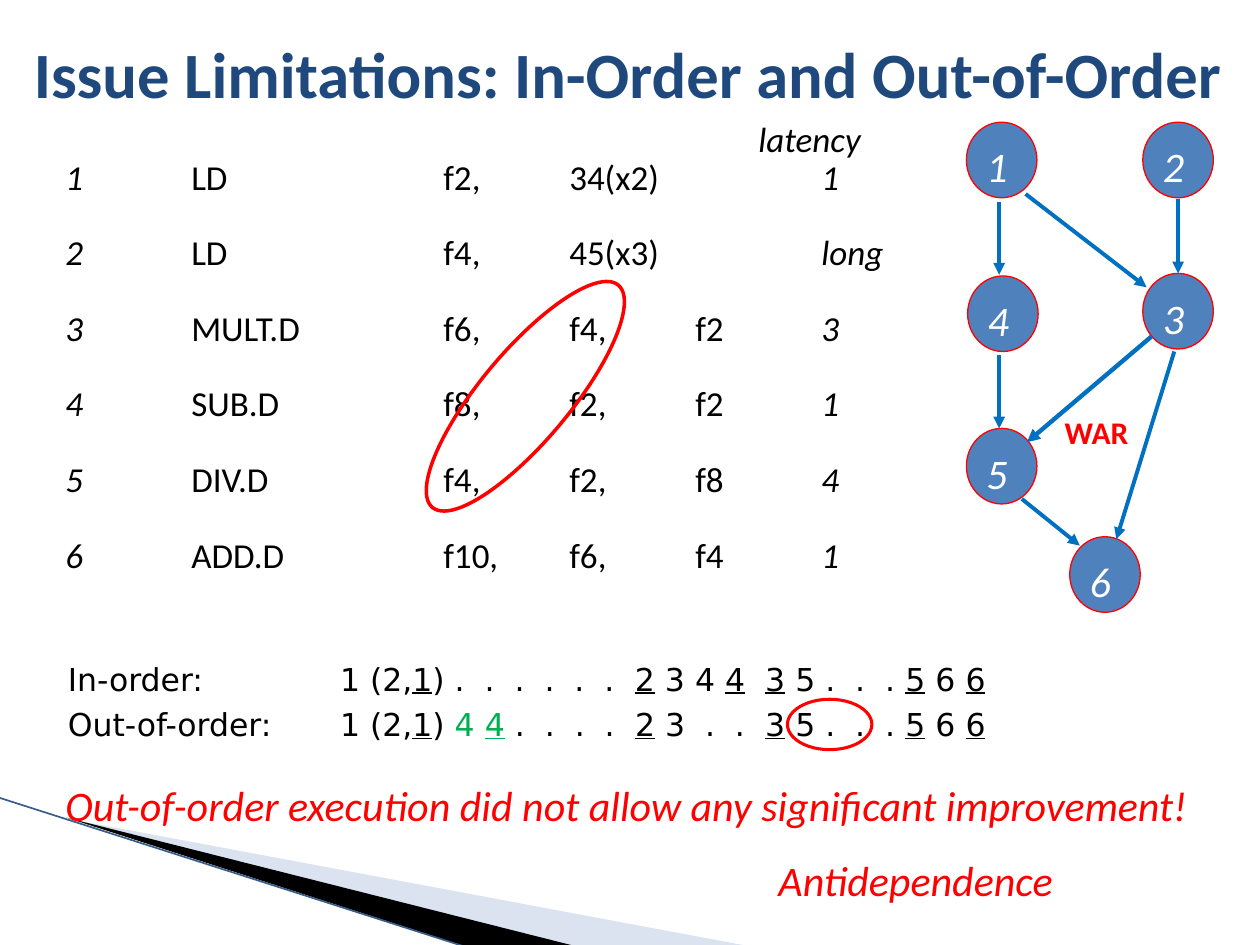
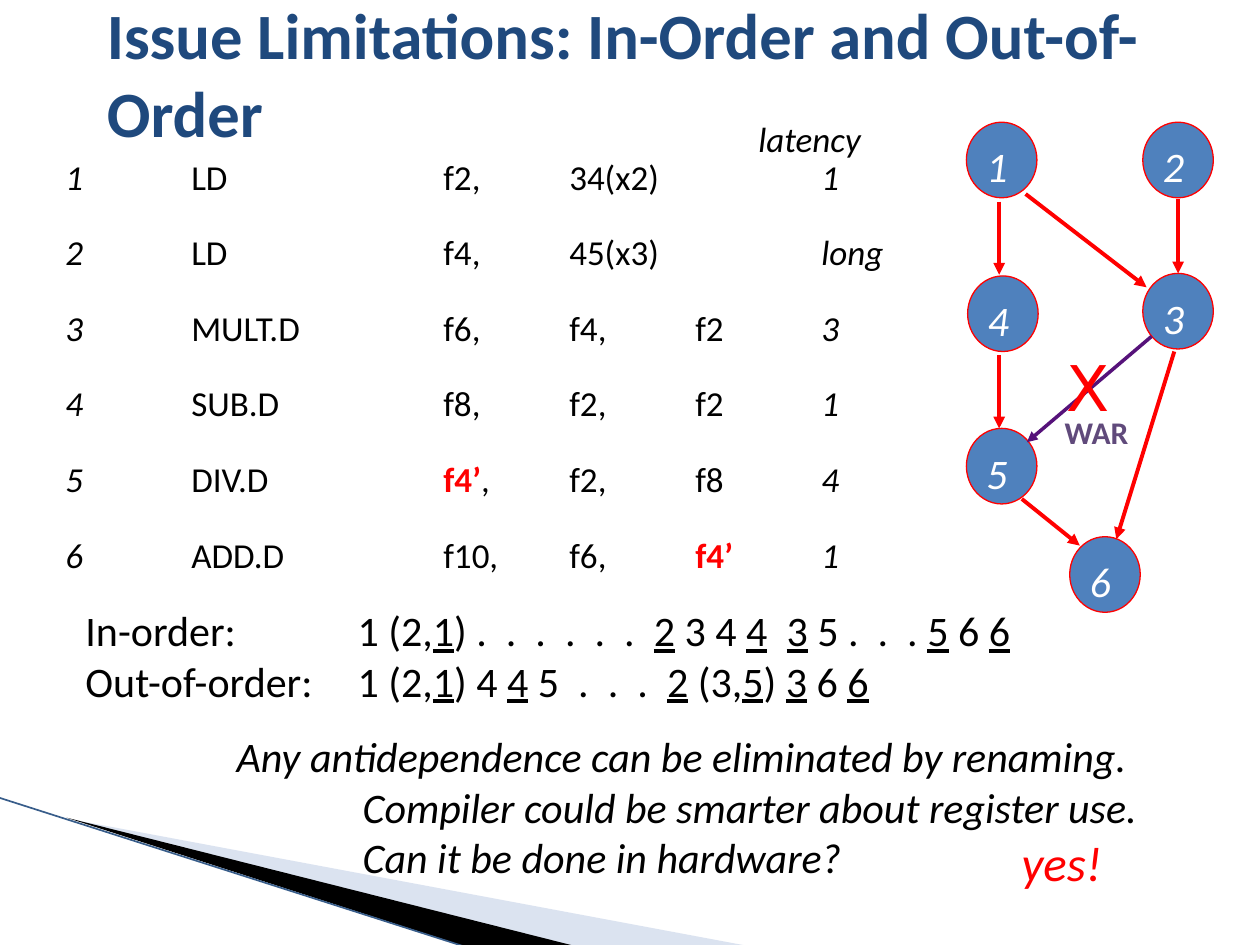
from lxml import etree
from pptx import Presentation
from pptx.dml.color import RGBColor
from pptx.enum.shapes import MSO_CONNECTOR, MSO_SHAPE
from pptx.enum.text import MSO_ANCHOR
from pptx.oxml.ns import qn
from pptx.util import Inches, Pt

STRAIGHT = MSO_CONNECTOR.STRAIGHT
OVAL = MSO_SHAPE.OVAL
MIDDLE, TOP = MSO_ANCHOR.MIDDLE, MSO_ANCHOR.TOP

BODY, WIDE = "Calibri", "DejaVu Sans"
BLACK, WHITE, RED, GREEN = "000000", "FFFFFF", "FF0000", "00B050"
NAVY, BLUE, NODE_FILL = "1F497D", "0070C0", "4F81BD"
PURPLE, VIOLET = "56127A", "604A7B"
BAND, BAND_EDGE = "A7B9DB", "385D8A"

TITLE = "Issue Limitations: In-Order and Out-of-Order"
IN_ORDER = "In-order:\t1 (2,_1_) .  .  .  .  .  .  _2_ 3 4 _4_  _3_ 5 .  .  . _5_ 6 _6_"
RENAMED = "f4’"
COLUMN_TABS = (1, 3, 4, 5, 6)
TIMELINE_TABS = (2.16,)

NODE_W, NODE_H = 0.56, 0.6
NODES = {"1": (7.67, 0.97), "2": (9.07, 0.97), "3": (9.07, 2.17),
         "4": (7.68, 2.19), "5": (7.67, 3.4), "6": (8.49, 4.26)}
DEPENDENCES = [(7.93, 1.6, 7.93, 2.18), (7.93, 2.82, 7.93, 3.4),
               (9.35, 1.58, 9.35, 2.17), (8.14, 1.54, 9.1, 2.28),
               (8.11, 3.96, 8.57, 4.33), (9.32, 2.79, 8.86, 4.28)]
ANTIDEPENDENCE = (9.14, 2.67, 8.15, 3.51)


def rgb(color):
    """Turn a hex string into a colour."""
    return RGBColor.from_string(color)


def add_text(shapes, box, paragraphs, size, color=BLACK, font=BODY,
             bold=False, italic=False, anchor=TOP):
    """Add a text box; each paragraph is a string or a list of (text, style)."""
    tf = shapes.add_textbox(*map(Inches, box)).text_frame
    tf.word_wrap = True
    tf.vertical_anchor = anchor
    for i, runs in enumerate(paragraphs):
        p = tf.add_paragraph() if i else tf.paragraphs[0]
        for text, style in [(runs, {})] if isinstance(runs, str) else runs:
            r = p.add_run()
            r.text = text
            r.font.name = font
            r.font.size = Pt(size)
            r.font.bold = style.get("bold", bold)
            r.font.italic = style.get("italic", italic)
            r.font.underline = style.get("underline", False)
            r.font.color.rgb = rgb(style.get("color", color))
    return tf


def set_tabs(p, stops):
    """Give a paragraph left tab stops, in inches."""
    tabs = etree.SubElement(p._p.get_or_add_pPr(), qn("a:tabLst"))
    for stop in stops:
        etree.SubElement(tabs, qn("a:tab"), pos=str(Inches(stop)), algn="l")


def add_ellipse(shapes, box, width, fill=None, rotation=0):
    """Add a red-edged ellipse, filled or open."""
    sp = shapes.add_shape(OVAL, *map(Inches, box))
    sp.shadow.inherit = False
    sp.rotation = rotation
    sp.line.color.rgb = rgb(RED)
    sp.line.width = Pt(width)
    if fill:
        sp.fill.solid()
        sp.fill.fore_color.rgb = rgb(fill)
    else:
        sp.fill.background()


def add_line(shapes, ends, color, width, arrow=False):
    """Add a straight line, with an arrowhead at its end if asked."""
    c = shapes.add_connector(STRAIGHT, *map(Inches, ends))
    c.line.color.rgb = rgb(color)
    c.line.width = Pt(width)
    if arrow:
        etree.SubElement(c.line._get_or_add_ln(), qn("a:tailEnd"), type="triangle")
    etree.SubElement(c._element.spPr, qn("a:effectLst"))


def add_band(shapes, points, color, alpha=None):
    """Add a filled polygon without outline; alpha is in percent."""
    corners = [(Inches(x), Inches(y)) for x, y in points]
    builder = shapes.build_freeform(*corners[0], scale=1.0)
    builder.add_line_segments(corners[1:], close=True)
    sp = builder.convert_to_shape()
    sp.shadow.inherit = False
    sp.line.fill.background()
    sp.fill.solid()
    sp.fill.fore_color.rgb = rgb(color)
    if alpha:
        clr = sp._element.spPr.find(".//" + qn("a:srgbClr"))
        etree.SubElement(clr, qn("a:alpha"), val=str(alpha * 1000))


def add_base(prs, title_left, title_width):
    """Add a slide with the corner bands and the title."""
    s = prs.slides.add_slide(prs.slide_layouts[6])
    add_band(s.shapes, [(0.55, 6.5), (5.95, 7.51), (4.56, 7.51)], BAND, 40)
    add_band(s.shapes, [(0.53, 6.49), (4.57, 7.51), (3.72, 7.52)], BLACK)
    add_line(s.shapes, (-0.01, 6.33, 3.71, 7.52), BAND_EDGE, 0.95)
    add_text(s.shapes, (title_left, 0.17, title_width, 0.81), [TITLE], 36.9,
             NAVY, bold=True, anchor=MIDDLE)
    return s


def instruction_runs(number, cells, latency):
    """Make the runs of one instruction, marking the renamed register."""
    runs = [(number, {"italic": True})]
    for cell in cells:
        runs.append(("\t", {}))
        if cell.startswith(RENAMED):
            runs.append((RENAMED, {"bold": True, "color": RED}))
            cell = cell[len(RENAMED):]
        if cell:
            runs.append((cell, {}))
    return runs + [("\t" + latency, {"italic": True})]


def add_instructions(s, target):
    """Add the instruction listing; target is the register DIV.D writes."""
    rows = [(("LD", "f2,", "34(x2)", ""), "1"),
            (("LD", "f4,", "45(x3)", ""), "long"),
            (("MULT.D", "f6,", "f4,", "f2"), "3"),
            (("SUB.D", "f8,", "f2,", "f2"), "1"),
            (("DIV.D", target + ",", "f2,", "f8"), "4"),
            (("ADD.D", "f10,", "f6,", target), "1")]
    paragraphs = [[("\tlatency", {"italic": True})]]
    paragraphs += [instruction_runs(str(n), *row) for n, row in enumerate(rows, 1)]
    tf = add_text(s.shapes, (0.42, 0.92, 6.77, 3.74), paragraphs, 20)
    for i, p in enumerate(tf.paragraphs):
        p.line_spacing = 0.9
        p.space_before = Pt(21.6 if i > 1 else 0)
        set_tabs(p, COLUMN_TABS if i else (5.5,))


def add_graph(s, color, war_color, war_width):
    """Add the dependence graph as one group."""
    shapes = s.shapes.add_group_shape().shapes
    for number, (x, y) in NODES.items():
        add_ellipse(shapes, (x, y, NODE_W, NODE_H), 0.75, NODE_FILL)
        add_text(shapes, (x + 0.06, y + 0.1, 0.45, 0.5), [number], 24, WHITE,
                 italic=True)
    for ends in DEPENDENCES:
        add_line(shapes, ends, color, 2.25, arrow=True)
    add_line(shapes, ANTIDEPENDENCE, war_color, war_width, arrow=True)


def add_war_label(s, color):
    """Name the antidependence arrow."""
    add_text(s.shapes, (8.35, 3.23, 0.75, 0.4), ["WAR"], 18, color, bold=True)


def timeline(text, **style):
    """Make runs in which the parts between underscores are underlined."""
    return [(part, {**style, "underline": i % 2 == 1})
            for i, part in enumerate(text.split("_")) if part]


def add_timelines(s, box, lines, size, font):
    """Add issue timelines that start at a common tab stop."""
    tf = add_text(s.shapes, box, lines, size, font=font)
    for p in tf.paragraphs:
        set_tabs(p, TIMELINE_TABS)


def build_limits(prs):
    """Slide 1: the antidependence blocks out-of-order issue."""
    s = add_base(prs, 0.17, 9.69)
    add_instructions(s, "f4")
    add_graph(s, BLUE, BLUE, 2.5)
    out_of_order = (timeline("Out-of-order:\t1 (2,_1_) ")
                    + timeline("4 _4_ ", color=GREEN)
                    + timeline(".  .  .  .  _2_ 3  .  .  _3_ 5 .  .  . _5_ 6 _6_"))
    for top, line in ((5.19, timeline(IN_ORDER)), (5.55, out_of_order)):
        add_timelines(s, (0.44, top, 7.98, 0.4), [line], 18, WIDE)
    for box, text in (
            ((0.42, 6.14, 9.32, 0.5),
             "Out-of-order execution did not allow any significant improvement!"),
            ((6.08, 6.73, 2.48, 0.5), "Antidependence")):
        add_text(s.shapes, box, [text], 24, RED, italic=True)
    add_war_label(s, RED)
    add_ellipse(s.shapes, (6.25, 5.55, 0.67, 0.4), 1.75)
    add_ellipse(s.shapes, (3.02, 2.79, 2.3, 0.71), 2, rotation=309.9)


def build_renaming(prs):
    """Slide 2: renaming removes the antidependence."""
    s = add_base(prs, 0.75, 8.83)
    add_instructions(s, RENAMED)
    add_graph(s, RED, PURPLE, 2)
    tf = add_text(s.shapes, (1.78, 5.75, 7.97, 1.31),
                  ["Any antidependence can be eliminated by renaming.",
                   "Compiler could be smarter about register use.",
                   "Can it be done in hardware?"], 24, italic=True)
    for p in tf.paragraphs[1:]:
        p.level = 1
        pPr = p._p.get_or_add_pPr()
        pPr.set("marL", str(Inches(1)))
        pPr.set("indent", "0")
    add_text(s.shapes, (8.01, 6.56, 0.94, 0.57), ["yes!"], 28, RED, italic=True)
    add_text(s.shapes, (8.37, 2.72, 0.54, 0.7), ["X"], 36, RED, WIDE)
    out_of_order = "Out-of-order:\t1 (2,_1_) 4 _4_ 5  .  .  .  _2_ (3,_5_) _3_ 6 _6_"
    add_timelines(s, (0.58, 4.75, 7.6, 0.91),
                  [timeline(IN_ORDER), timeline(out_of_order)], 24, BODY)
    add_war_label(s, VIOLET)


def main():
    """Build and save the presentation."""
    prs = Presentation()
    prs.slide_width, prs.slide_height = Inches(10), Inches(7.5)
    build_limits(prs)
    build_renaming(prs)
    prs.save("out.pptx")


main()
